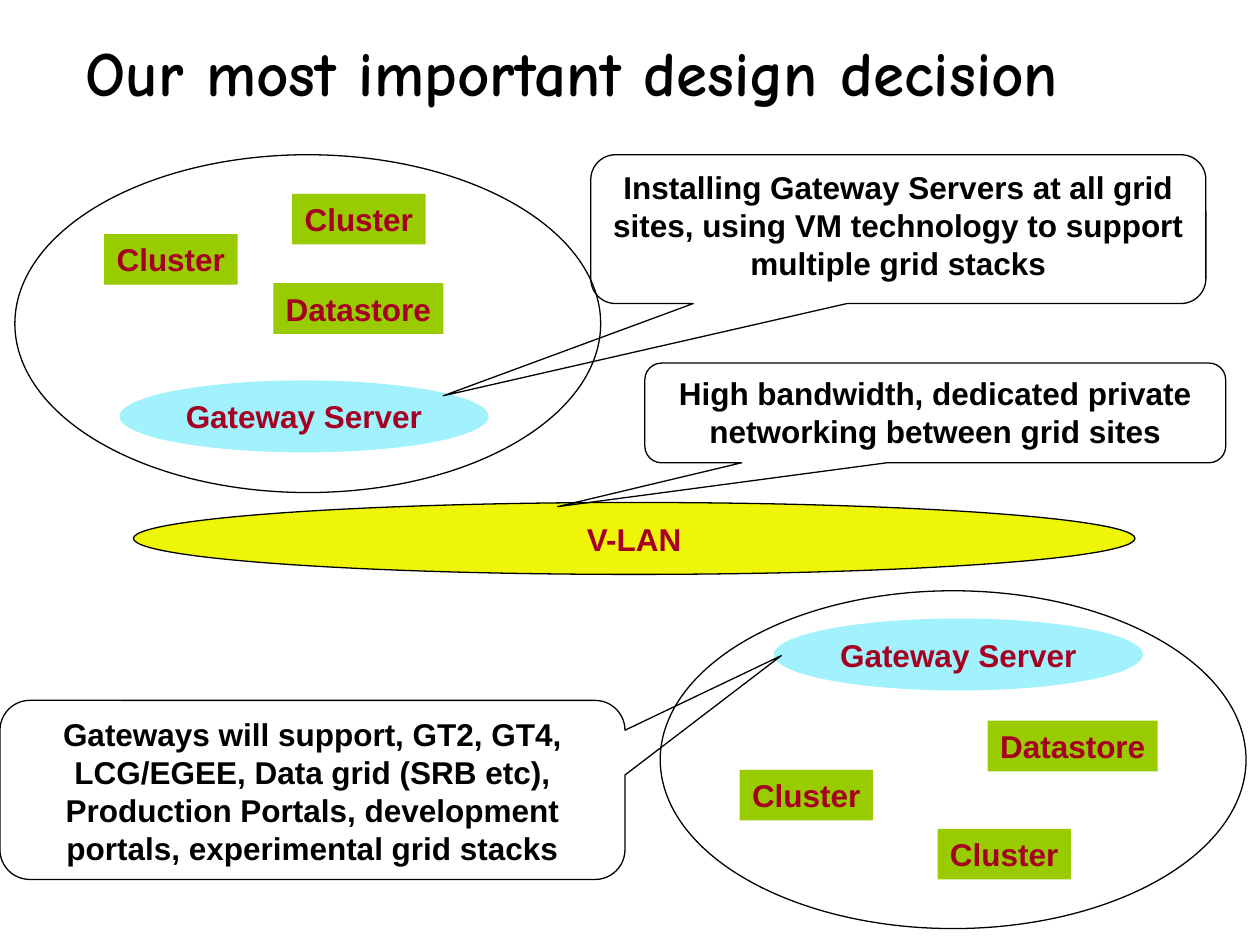
from pptx import Presentation
from pptx.dml.color import RGBColor
from pptx.enum.shapes import MSO_SHAPE
from pptx.enum.text import MSO_ANCHOR, PP_ALIGN
from pptx.util import Cm, Pt

OVAL = MSO_SHAPE.OVAL
RECTANGLE = MSO_SHAPE.RECTANGLE
CALLOUT = MSO_SHAPE.ROUNDED_RECTANGULAR_CALLOUT
TOP, MIDDLE = MSO_ANCHOR.TOP, MSO_ANCHOR.MIDDLE
CENTER = PP_ALIGN.CENTER

BLACK, DARK_RED = "000000", "A50021"
GREEN, CYAN, YELLOW = "99CC00", "A1F2FD", "EFF507"
SITE_SIZE = (11.81, 6.81)
GATEWAY_SIZE = (7.44, 1.45)
RESOURCE_SIZES = {"Cluster": (2.69, 1.02), "Datastore": (3.43, 1.02)}


def rgb(value):
    return RGBColor.from_string(value)


def write(frame, text, color, anchor=MIDDLE, size=18, font="Arial", wrap=True):
    frame.text = text
    frame.word_wrap = wrap
    frame.vertical_anchor = anchor
    paragraph = frame.paragraphs[0]
    paragraph.alignment = CENTER
    paragraph.font.name = font
    paragraph.font.size = Pt(size)
    paragraph.font.bold = True
    paragraph.font.color.rgb = rgb(color)


def add_outline(slide, kind, box, fill=None, line=None):
    shape = slide.shapes.add_shape(kind, *map(Cm, box))
    shape.shadow.inherit = False
    if fill:
        shape.fill.solid()
        shape.fill.fore_color.rgb = rgb(fill)
    else:
        shape.fill.background()
    if line:
        shape.line.color.rgb = rgb(line)
        shape.line.width = Pt(0.75)
    else:
        shape.line.fill.background()
    return shape


def add_title(slide, box, text):
    title = slide.shapes.title
    title.left, title.top, title.width, title.height = map(Cm, box)
    write(title.text_frame, text, BLACK, size=36, font="Comic Neue")


def add_network(slide, box, text):
    network = add_outline(slide, OVAL, box, YELLOW, BLACK)
    write(network.text_frame, text, DARK_RED)


def add_site(slide, left, top, gateway_at, resources):
    parts = [(OVAL, "Gateway Server", gateway_at, GATEWAY_SIZE, CYAN)]
    parts += [(RECTANGLE, name, at, RESOURCE_SIZES[name], GREEN)
              for name, at in resources]
    for kind, name, (dx, dy), size, fill in parts:
        part = add_outline(slide, kind, (left + dx, top + dy, *size), fill)
        write(part.text_frame, name, DARK_RED, wrap=False)
    add_outline(slide, OVAL, (left, top, *SITE_SIZE), line=BLACK)


def add_callout(slide, box, tip, text):
    callout = add_outline(slide, CALLOUT, box, line=BLACK)
    callout.adjustments[0], callout.adjustments[1] = tip
    write(callout.text_frame, text, BLACK, TOP)


def main():
    prs = Presentation()
    prs.slide_width, prs.slide_height = Cm(25.4), Cm(19.05)
    slide = prs.slides.add_slide(prs.slide_layouts[5])

    add_title(slide, (0.1, 0.36, 22.86, 2.16), "Our most important design decision")
    add_network(slide, (2.69, 10.13, 20.19, 1.45), "V-LAN")
    add_site(slide, 13.31, 11.91, (2.29, 0.56), [
        ("Cluster", (1.6, 3.61)),
        ("Datastore", (6.6, 2.62)),
        ("Cluster", (5.59, 4.8)),
    ])
    add_site(slide, 0.3, 3.12, (2.11, 4.55), [
        ("Cluster", (5.59, 0.79)),
        ("Datastore", (5.21, 2.59)),
        ("Cluster", (1.8, 1.6)),
    ])
    add_callout(slide, (11.91, 3.12, 12.4, 3), (-0.74, 1.12),
                "Installing Gateway Servers at all grid sites, using VM technology "
                "to support multiple grid stacks")
    add_callout(slide, (0, 14.12, 12.6, 3.61), (0.75, -0.75),
                "Gateways will support, GT2, GT4, LCG/EGEE, Data grid (SRB etc), "
                "Production Portals, development portals, experimental grid stacks")
    add_callout(slide, (13, 7.32, 11.71, 2.01), (-0.65, 0.94),
                "High bandwidth, dedicated private networking between grid sites")

    prs.save("out.pptx")


if __name__ == "__main__":
    main()
